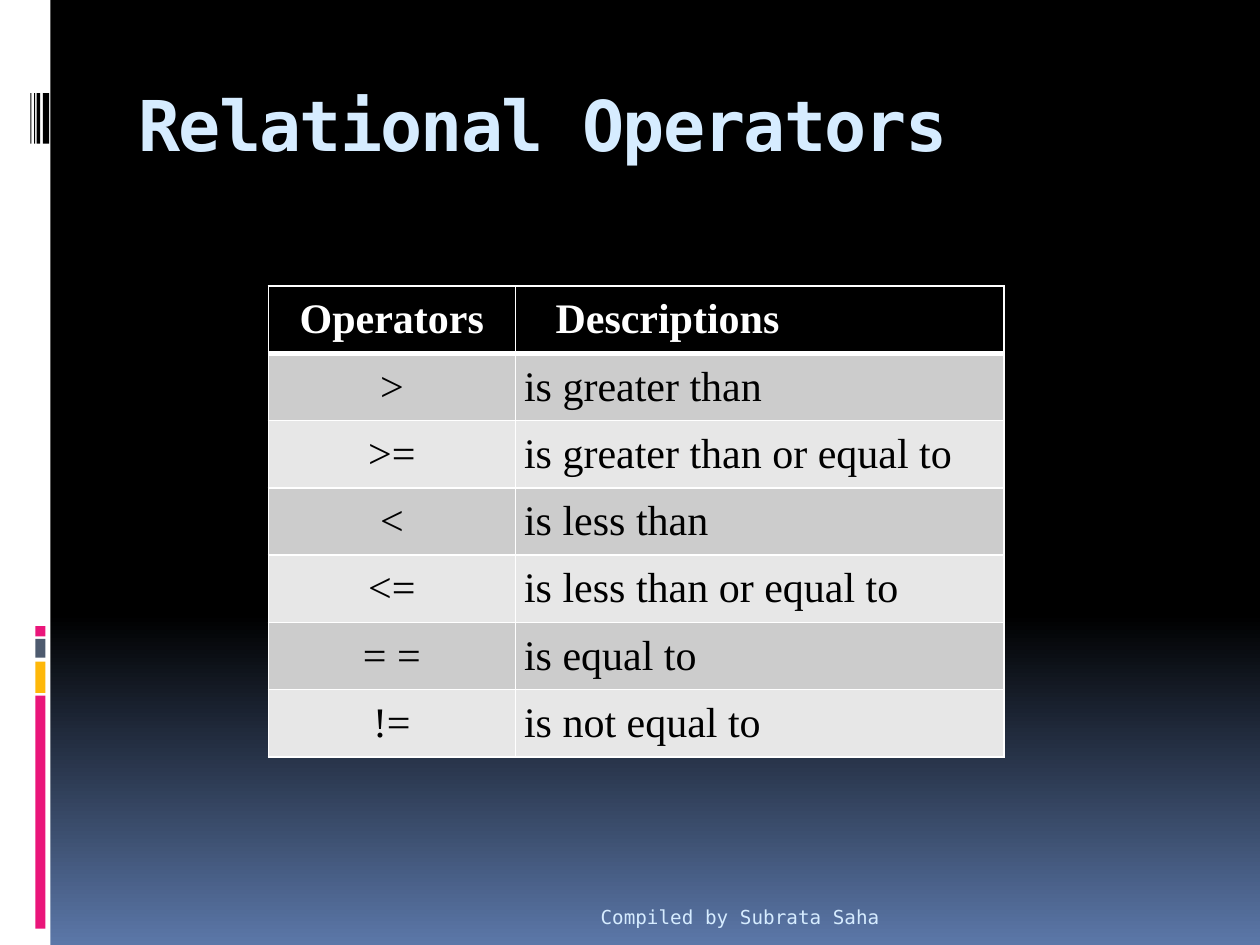
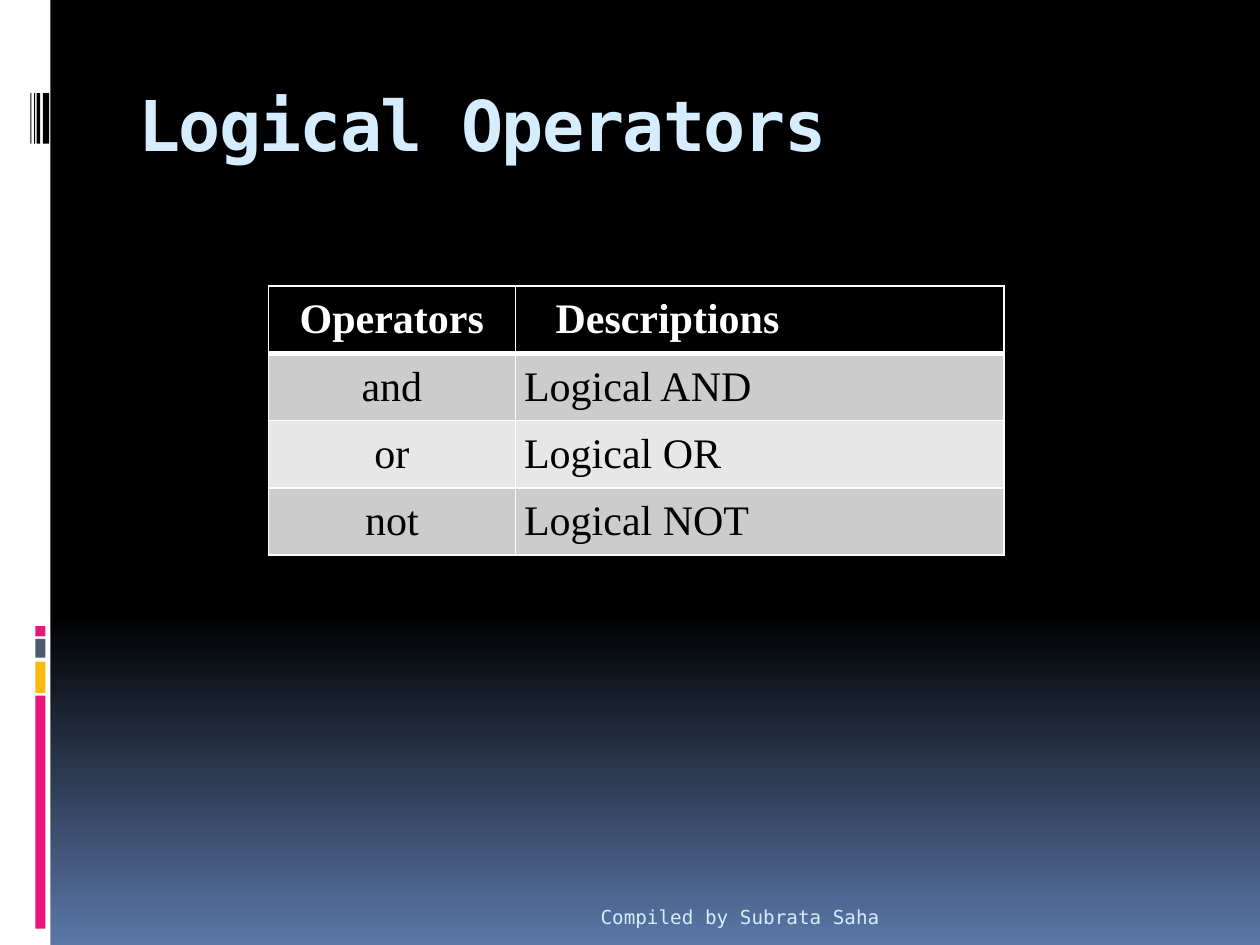
"""Build two slides of operator tables on a shared dark gradient design."""
import pptx
import pptx.util
import pptx.dml.color
import pptx.enum.shapes
import pptx.enum.text
import pptx.oxml
import pptx.oxml.ns

Inches = pptx.util.Inches
Pt = pptx.util.Pt
RGB = pptx.dml.color.RGBColor
ALIGN = pptx.enum.text.PP_ALIGN
ANCHOR = pptx.enum.text.MSO_ANCHOR

BLACK = RGB(0x00, 0x00, 0x00)
WHITE = RGB(0xFF, 0xFF, 0xFF)
BLUE = RGB(0x5B, 0x77, 0xA8)
PALE = RGB(0xD6, 0xEC, 0xFF)
PINK = RGB(0xEA, 0x15, 0x7A)
AMBER = RGB(0xFE, 0xB8, 0x0A)
SLATE = RGB(0x4E, 0x5B, 0x6F)
BANDS = [RGB(0xCC, 0xCC, 0xCC), RGB(0xE7, 0xE7, 0xE7)]

MONO, SERIF = "DejaVu Sans Mono", "Times New Roman"
HEADER = ("Operators", "Descriptions")
FOOTER = "Compiled by Subrata Saha"
SLIDES = [
    ("Relational Operators", [
        (">", "is greater than"),
        (">=", "is greater than or equal to"),
        ("<", "is less than"),
        ("<=", "is less than or equal to"),
        ("= =", "is equal to"),
        ("!=", "is not equal to"),
    ]),
    ("Logical Operators", [
        ("and", "Logical AND"),
        ("or", "Logical OR"),
        ("not", "Logical NOT"),
    ]),
]

WIDTH, HEIGHT = 10, 7.5
SIDEBAR = 0.4
BLOCKS = [(4.97, 0.08, PINK), (5.07, 0.15, SLATE), (5.25, 0.25, AMBER), (5.52, 1.85, PINK)]
BARS = [(0.24, 0.01), (0.27, 0.01), (0.29, 0.03), (0.34, 0.05)]
TABLE_LEFT, TABLE_TOP, ROW = 2.13, 2.27, 0.534
COLUMNS = (1.96, 3.88)
INSET, HEADER_INDENT = 0.07, 0.25

TITLE_FONT = dict(name=MONO, size=Pt(40), bold=True)
FOOTER_FONT = dict(name=MONO, size=Pt(11), bold=False)


def assign(obj, values):
    for name, value in values.items():
        setattr(obj, name, value)


def write(tf, text, font, color, align):
    p = tf.paragraphs[0]
    p.alignment = align
    r = p.add_run()
    r.text = text
    assign(r.font, font)
    r.font.color.rgb = color
    return r


def add_rect(s, left, top, width, height, color):
    sp = s.shapes.add_shape(pptx.enum.shapes.MSO_SHAPE.RECTANGLE,
                            *map(Inches, (left, top, width, height)))
    sp.shadow.inherit = False
    sp.fill.solid()
    sp.fill.fore_color.rgb = color
    sp.line.fill.background()


def add_text(s, box, text, font, align, **frame):
    tf = s.shapes.add_textbox(*map(Inches, box)).text_frame
    assign(tf, dict(word_wrap=True, **frame))
    return write(tf, text, font, PALE, align)


def add_design(s):
    fill = s.background.fill
    fill.gradient()
    fill.gradient_angle = 270
    for stop, position, color in zip(fill.gradient_stops, (0.65, 1), (BLACK, BLUE)):
        stop.position = position
        stop.color.rgb = color
    add_rect(s, 0, 0, SIDEBAR, HEIGHT, WHITE)
    for top, height, color in BLOCKS:
        add_rect(s, 0.28, top, 0.08, height, color)
    for left, width in BARS:
        add_rect(s, left, 0.74, width, 0.4, BLACK)


def set_borders(cell, **widths):
    tcPr = cell._tc.get_or_add_tcPr()
    for i, side in enumerate("LRTB"):
        tcPr.insert(i, pptx.oxml.parse_xml(
            f'<a:ln{side} {pptx.oxml.ns.nsdecls("a")} w="{Pt(widths.get(side, 1))}">'
            f'<a:solidFill><a:srgbClr val="{WHITE}"/></a:solidFill></a:ln{side}>'))


def add_operators(s, rows):
    rows = [HEADER] + rows
    table = s.shapes.add_table(len(rows), len(COLUMNS), Inches(TABLE_LEFT), Inches(TABLE_TOP),
                               Inches(sum(COLUMNS)), Inches(ROW * len(rows))).table
    assign(table, dict(first_row=False, horz_banding=False))
    for column, width in zip(table.columns, COLUMNS):
        column.width = Inches(width)
    for i, row in enumerate(rows):
        table.rows[i].height = Inches(ROW)
        head = i == 0
        for j, text in enumerate(row):
            cell = table.cell(i, j)
            indent = HEADER_INDENT if head and j else 0
            assign(cell, dict(vertical_anchor=ANCHOR.MIDDLE, margin_left=Inches(INSET + indent),
                              margin_right=Inches(INSET), margin_top=0, margin_bottom=0))
            cell.fill.solid()
            cell.fill.fore_color.rgb = BLACK if head else BANDS[(i - 1) % 2]
            set_borders(cell, T=3 if i == 1 else 1, B=3 if head else 1)
            write(cell.text_frame, text, dict(name=SERIF, size=Pt(24), bold=head),
                  WHITE if head else BLACK, ALIGN.LEFT if j else ALIGN.CENTER)


prs = pptx.Presentation()
prs.slide_width, prs.slide_height = Inches(WIDTH), Inches(HEIGHT)
for title, rows in SLIDES:
    s = prs.slides.add_slide(prs.slide_layouts[6])
    add_design(s)
    r = add_text(s, (1, 0.56, 8.5, 1), title, TITLE_FONT, ALIGN.LEFT,
                 vertical_anchor=ANCHOR.TOP, margin_top=Inches(0.09))
    r.font._element.set("spc", "-100")
    add_operators(s, rows)
    add_text(s, (1, 7.02, 6.08, 0.4), FOOTER, FOOTER_FONT, ALIGN.RIGHT,
             vertical_anchor=ANCHOR.BOTTOM)
prs.save("out.pptx")
